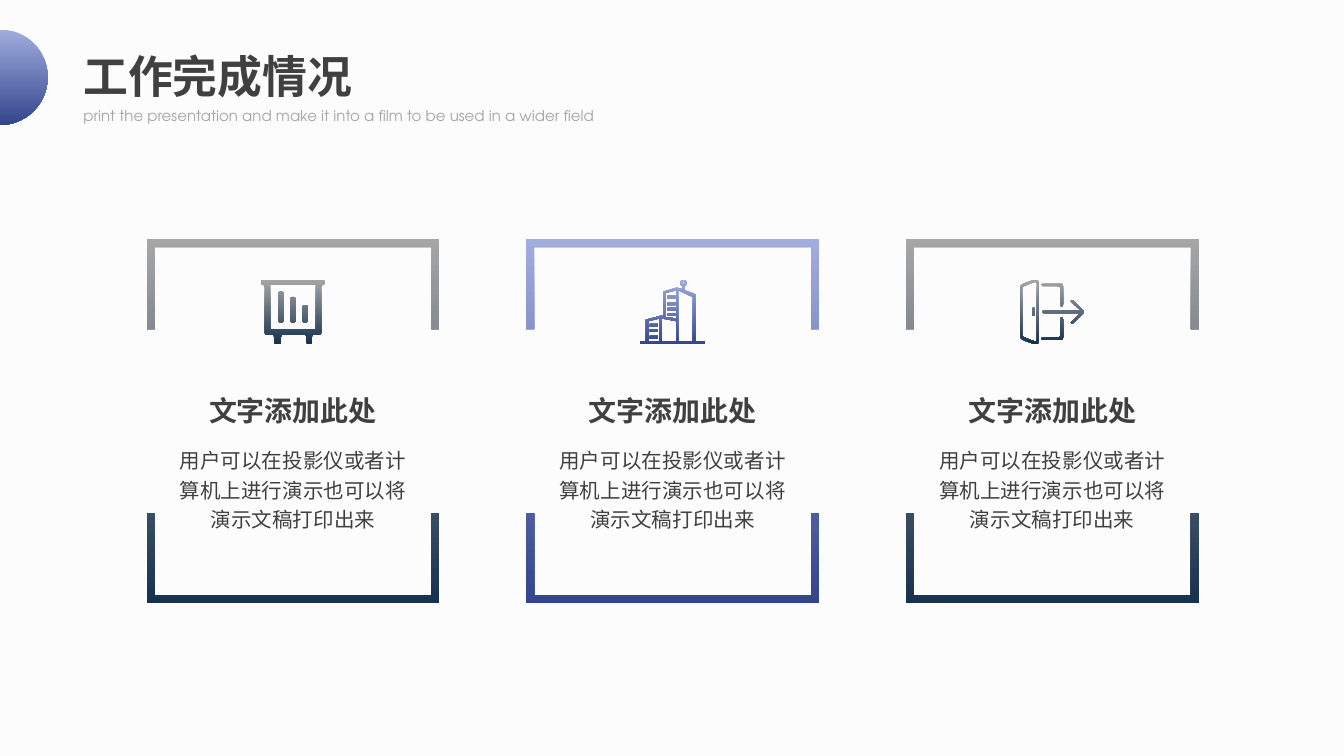
from dataclasses import dataclass
from math import cos, hypot, pi, sin

from pptx import Presentation
from pptx.dml.color import RGBColor
from pptx.enum.text import MSO_ANCHOR, MSO_AUTO_SIZE, PP_ALIGN
from pptx.util import Inches, Pt

Point = tuple[float, float]
Contour = list[Point]
Gradient = tuple[str, str]


@dataclass(frozen=True)
class Theme:
    background: str = "FCFCFC"
    text: str = "404040"
    muted: str = "A6A6A6"
    steel: Gradient = ("A6A6A6", "17324F")
    indigo: Gradient = ("A1ADDD", "33458C")
    display_font: str = "TeX Gyre Adventor"
    body_font: str = "Arial"
    title_size: float = 24
    subtitle_size: float = 8
    heading_size: float = 15
    body_size: float = 11


@dataclass(frozen=True)
class Box:
    left: float
    top: float
    width: float
    height: float


@dataclass(frozen=True)
class TextStyle:
    size: float
    font: str
    color: str
    bold: bool = False
    align: PP_ALIGN = PP_ALIGN.LEFT
    line_spacing: float = 1.0


@dataclass(frozen=True)
class Card:
    heading: str
    body: str
    gradient: Gradient
    icon: list[Contour]


THEME = Theme()
SLIDE_WIDTH = 10
SLIDE_HEIGHT = SLIDE_WIDTH * 9 / 16
CARD_TOP, CARD_WIDTH, CARD_HEIGHT = 1.78, 2.18, 2.71
FIRST_LEFT, LAST_LEFT = 1.09, 6.74
ICON_SIZE, ICON_UNITS = 0.48, 48  # icons are drawn on a 48 by 48 grid


def rectangle(left: float, top: float, right: float, bottom: float) -> Contour:
    return [(left, top), (right, top), (right, bottom), (left, bottom)]


def rounded(corners: Contour, radius: float, steps: int = 4) -> Contour:
    """Replace every corner by a short quadratic curve."""
    result: Contour = []
    for index, (x, y) in enumerate(corners):
        ends = []
        for nx, ny in (corners[index - 1], corners[(index + 1) % len(corners)]):
            length = hypot(nx - x, ny - y)
            share = min(radius, length / 2) / length
            ends.append((x + (nx - x) * share, y + (ny - y) * share))
        (ax, ay), (bx, by) = ends
        for step in range(steps + 1):
            t = step / steps
            a, c, b = (1 - t) ** 2, 2 * t * (1 - t), t**2
            result.append((a * ax + c * x + b * bx, a * ay + c * y + b * by))
    return result


def mirrored(contour: Contour, height: float) -> Contour:
    return [(x, height - y) for x, y in contour]


def chart_board_icon() -> list[Contour]:
    board = [(0, 0), (48, 0), (48, 4), (45, 4), (45, 41), (38, 41), (38, 48), (34, 48),
             (34, 41), (15, 41), (15, 48), (10, 48), (10, 41), (3, 41), (3, 4), (0, 4)]
    bars = [rounded(rectangle(x, top, x + 4, 32), 2)
            for x, top in ((13, 9), (22, 13), (31, 19))]
    return [rounded(board, 2), rectangle(7, 4, 41, 37), *bars]


def buildings_icon() -> list[Contour]:
    skyline = [(0, 48), (0, 46), (4, 46), (4, 30), (15, 27), (17, 27), (17, 9), (27, 6),
               (31, 7), (31, 5), (33, 5), (33, 8), (41, 11), (41, 46), (48, 46), (48, 48)]
    walls = [
        [(16, 29), (27, 31), (27, 46), (16, 46)],
        [(14, 29), (14, 46), (6, 46), (6, 31)],
        [(28, 8), (39, 13), (39, 46), (28, 46)],
        [(27, 8), (27, 29), (19, 28), (19, 10)],
    ]
    windows = [rectangle(left, top, left + 6, top + 2)
               for left, tops in ((7, (33, 37, 42)), (20, (12, 17, 21, 25))) for top in tops]
    beacon = [rounded(rectangle(29.5, 0, 34.5, 5), 2.5), rectangle(31.5, 2, 32.5, 3)]
    return [skyline, *walls, *windows, *beacon]


def exit_door_icon() -> list[Contour]:
    leaf = [(0, 4), (10, 0), (14, 0), (14, 48), (10, 48), (0, 44)]
    opening = [(1.5, 5.5), (10.5, 2), (12.5, 2), (12.5, 46), (10.5, 46), (1.5, 42.5)]
    frame = rounded([(16, 3), (32, 3), (32, 20), (30, 20), (30, 5), (16, 5)], 2)
    arrow = [(17, 23), (45, 23), (37.5, 16), (39, 15), (48, 24),
             (39, 33), (37.5, 32), (45, 25), (17, 25)]
    return [rounded(leaf, 3), rounded(opening, 2), rounded(rectangle(9, 21, 11, 27), 1),
            frame, mirrored(frame, ICON_UNITS), rounded(arrow, 0.8)]


def bracket_frame() -> list[Contour]:
    arm, bar = 0.67, 0.06
    inner = CARD_WIDTH - bar
    top = [(0, 0), (CARD_WIDTH, 0), (CARD_WIDTH, arm), (inner, arm),
           (inner, bar), (bar, bar), (bar, arm), (0, arm)]
    return [top, mirrored(top, CARD_HEIGHT)]


def add_outline(shapes, contours: list[Contour], left: float, top: float,
                gradient: Gradient, unit: float = 1) -> None:
    """Draw the contours as one shape with a vertical gradient."""
    scaled = [[(Inches(x * unit), Inches(y * unit)) for x, y in contour]
              for contour in contours]
    builder = shapes.build_freeform(*scaled[0][0], scale=1.0)
    for index, (start, *others) in enumerate(scaled):
        if index:
            builder.move_to(*start)
        builder.add_line_segments(others, close=True)
    shape = builder.convert_to_shape(Inches(left), Inches(top))
    shape.shadow.inherit = False
    shape.line.fill.background()
    shape.fill.gradient()
    shape.fill.gradient_angle = 270
    for stop, color in zip(shape.fill.gradient_stops, gradient):
        stop.color.rgb = RGBColor.from_string(color)


def place_text(shape, box: Box, text: str, style: TextStyle) -> None:
    shape.left, shape.top = Inches(box.left), Inches(box.top)
    shape.width, shape.height = Inches(box.width), Inches(box.height)
    frame = shape.text_frame
    frame.word_wrap = True
    frame.auto_size = MSO_AUTO_SIZE.SHAPE_TO_FIT_TEXT
    frame.vertical_anchor = MSO_ANCHOR.TOP
    paragraph = frame.paragraphs[0]
    paragraph.alignment = style.align
    paragraph.line_spacing = style.line_spacing
    paragraph.space_before = Pt(0)
    run = paragraph.add_run()
    run.text = text
    run.font.name = style.font
    run.font.size = Pt(style.size)
    run.font.bold = style.bold
    run.font.color.rgb = RGBColor.from_string(style.color)


def add_card(slide, card: Card, left: float) -> None:
    shapes = slide.shapes.add_group_shape().shapes
    center = left + CARD_WIDTH / 2
    add_outline(shapes, bracket_frame(), left, CARD_TOP, card.gradient)
    add_outline(shapes, card.icon, center - ICON_SIZE / 2, CARD_TOP + 0.3,
                card.gradient, ICON_SIZE / ICON_UNITS)
    heading = TextStyle(THEME.heading_size, THEME.body_font, THEME.text, True,
                        PP_ALIGN.CENTER, 1.2)
    body = TextStyle(THEME.body_size, THEME.body_font, THEME.text, False,
                     PP_ALIGN.CENTER, 1.2)
    for text, style, top, width, height in (
        (card.body, body, 1.47, 1.92, 0.77),
        (card.heading, heading, 1.05, 1.71, 0.4),
    ):
        box = Box(center - width / 2, CARD_TOP + top, width, height)
        place_text(shapes.add_textbox(0, 0, 0, 0), box, text, style)


def add_header(slide) -> None:
    radius, steps = 0.71 / 2, 48
    half_disc = [(radius * sin(pi * i / steps), radius * (1 - cos(pi * i / steps)))
                 for i in range(steps + 1)]
    add_outline(slide.shapes, [half_disc], 0, 0.22, THEME.indigo)
    place_text(slide.shapes.title, Box(0.52, 0.31, 3.44, 0.5), "工作完成情况",
               TextStyle(THEME.title_size, THEME.display_font, THEME.text, True))
    place_text(slide.placeholders[1], Box(0.52, 0.74, 4.54, 0.24),
               "print the presentation and make it into a film to be used in a wider field",
               TextStyle(THEME.subtitle_size, THEME.display_font, THEME.muted))


def main() -> None:
    presentation = Presentation()
    presentation.slide_width = Inches(SLIDE_WIDTH)
    presentation.slide_height = Inches(SLIDE_HEIGHT)
    slide = presentation.slides.add_slide(presentation.slide_layouts[0])
    slide.background.fill.solid()
    slide.background.fill.fore_color.rgb = RGBColor.from_string(THEME.background)
    add_header(slide)
    heading = "文字添加此处"
    body = "用户可以在投影仪或者计算机上进行演示也可以将演示文稿打印出来"
    cards = [Card(heading, body, gradient, icon) for gradient, icon in (
        (THEME.steel, chart_board_icon()),
        (THEME.indigo, buildings_icon()),
        (THEME.steel, exit_door_icon()),
    )]
    pitch = (LAST_LEFT - FIRST_LEFT) / (len(cards) - 1)
    for column, card in enumerate(cards):
        add_card(slide, card, FIRST_LEFT + column * pitch)
    presentation.save("out.pptx")


if __name__ == "__main__":
    main()
